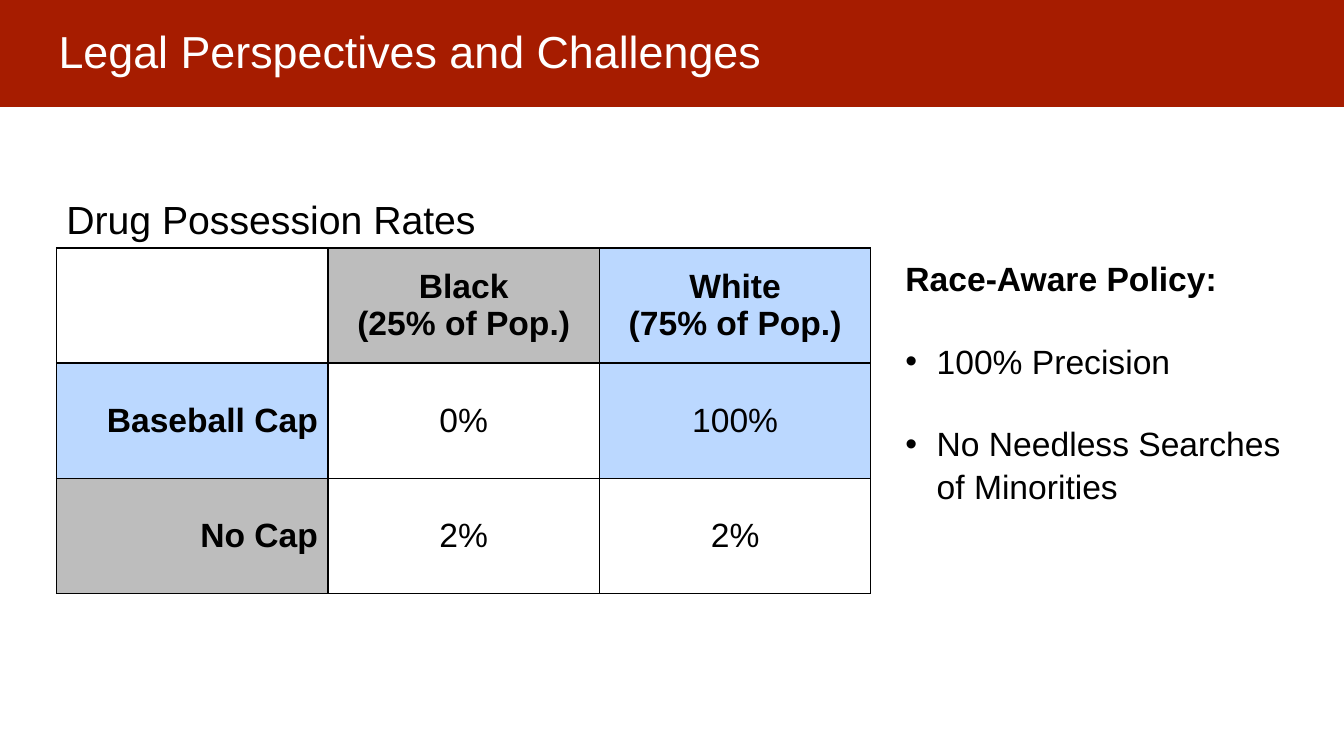
"""Build the slide comparing drug possession rates by race and cap."""
from lxml import etree
from pptx import Presentation, util as u
from pptx.dml.color import RGBColor
from pptx.enum import shapes, text
from pptx.oxml import ns

RED = RGBColor(0xA6, 0x1C, 0x00)
BLACK = RGBColor(0x00, 0x00, 0x00)
WHITE = RGBColor(0xFF, 0xFF, 0xFF)
GREY = RGBColor(0xBD, 0xBD, 0xBD)
BLUE = RGBColor(0xBB, 0xD8, 0xFF)
LEFT, CENTER, RIGHT = text.PP_ALIGN.LEFT, text.PP_ALIGN.CENTER, text.PP_ALIGN.RIGHT

prs = Presentation()
prs.slide_width, prs.slide_height = u.Inches(13.33), u.Inches(7.5)
s = prs.slides.add_slide(prs.slide_layouts[1])
title, body = s.placeholders


def share(x, y, w, h):
    """Turn percentages of the slide into left, top, width and height."""
    across, down = prs.slide_width / 100, prs.slide_height / 100
    return [int(v) for v in (x * across, y * down, w * across, h * down)]


def add_run(p, words, size, color=BLACK, bold=False):
    """Add one formatted run to a paragraph."""
    r = p.add_run()
    r.text = words
    r.font.name, r.font.size, r.font.bold = "Arial", u.Pt(size), bold
    r.font.color.rgb = color


band = s.shapes.add_shape(shapes.MSO_SHAPE.RECTANGLE, *share(-0.15, -0.53, 100.23, 14.67))
band.shadow.inherit = False
band.fill.solid()
band.fill.fore_color.rgb = RED
band.line.fill.background()
title._element.addprevious(band._element)

title.left, title.top, title.width, title.height = share(3.38, 1.2, 93.17, 11.07)
tf = title.text_frame
tf.auto_size = text.MSO_AUTO_SIZE.NONE
tf.vertical_anchor = text.MSO_ANCHOR.MIDDLE
tf.margin_left = tf.margin_right = tf.margin_top = tf.margin_bottom = u.Inches(0.13)
tf.paragraphs[0].alignment = LEFT
add_run(tf.paragraphs[0], "Legal Perspectives and Challenges", 32, WHITE)

rates = [
    [("", None), ("Black\n(25% of Pop.)", GREY), ("White\n(75% of Pop.)", BLUE)],
    [("Baseball Cap", BLUE), ("0%", WHITE), ("100%", BLUE)],
    [("No Cap", GREY), ("2%", None), ("2%", None)],
]
table = s.shapes.add_table(3, 3, *share(4.2, 32.8, 60.6, 45.7)).table
table.first_row = table.horz_banding = False
for i, row in enumerate(rates):
    for j, (words, color) in enumerate(row):
        cell = table.cell(i, j)
        cell.vertical_anchor = text.MSO_ANCHOR.MIDDLE
        tcPr = cell._tc.get_or_add_tcPr()
        for side in ("lnL", "lnR", "lnT", "lnB"):
            ln = etree.SubElement(tcPr, ns.qn("a:" + side), w=str(u.Pt(1)))
            fill = etree.SubElement(ln, ns.qn("a:solidFill"))
            etree.SubElement(fill, ns.qn("a:srgbClr"), val=str(BLACK))
        if color is None:
            cell.fill.background()
        else:
            cell.fill.solid()
            cell.fill.fore_color.rgb = color
        if not words:
            continue
        tf = cell.text_frame
        for k, line in enumerate(words.split("\n")):
            p = tf.add_paragraph() if k else tf.paragraphs[0]
            p.alignment = CENTER if j else RIGHT
            add_run(p, line, 24, bold=i == 0 or j == 0)

caption = s.shapes.add_textbox(*share(4.2, 25.2, 32.63, 7.6))
caption.text_frame.word_wrap = True
add_run(caption.text_frame.paragraphs[0], "Drug Possession Rates", 28)

body.left, body.top, body.width, body.height = share(66.62, 33.2, 30.46, 33.6)
tf = body.text_frame
tf.word_wrap = True
tf.auto_size = text.MSO_AUTO_SIZE.NONE
policy = ["Race-Aware Policy:", "100% Precision", "No Needless Searches of Minorities"]
for i, words in enumerate(policy):
    p = tf.add_paragraph() if i else tf.paragraphs[0]
    p.line_spacing = 1.05
    p.space_before = u.Pt(28.8 if i else 0)
    pPr = p._p.get_or_add_pPr()
    indent = u.Inches(0.31) if i else 0
    pPr.set("marL", str(indent))
    pPr.set("indent", str(-indent))
    if i:
        etree.SubElement(pPr, ns.qn("a:buFont"), typeface="Arial")
        etree.SubElement(pPr, ns.qn("a:buChar"), char="•")
    else:
        etree.SubElement(pPr, ns.qn("a:buNone"))
    add_run(p, words, 24, bold=i == 0)

prs.save("out.pptx")
